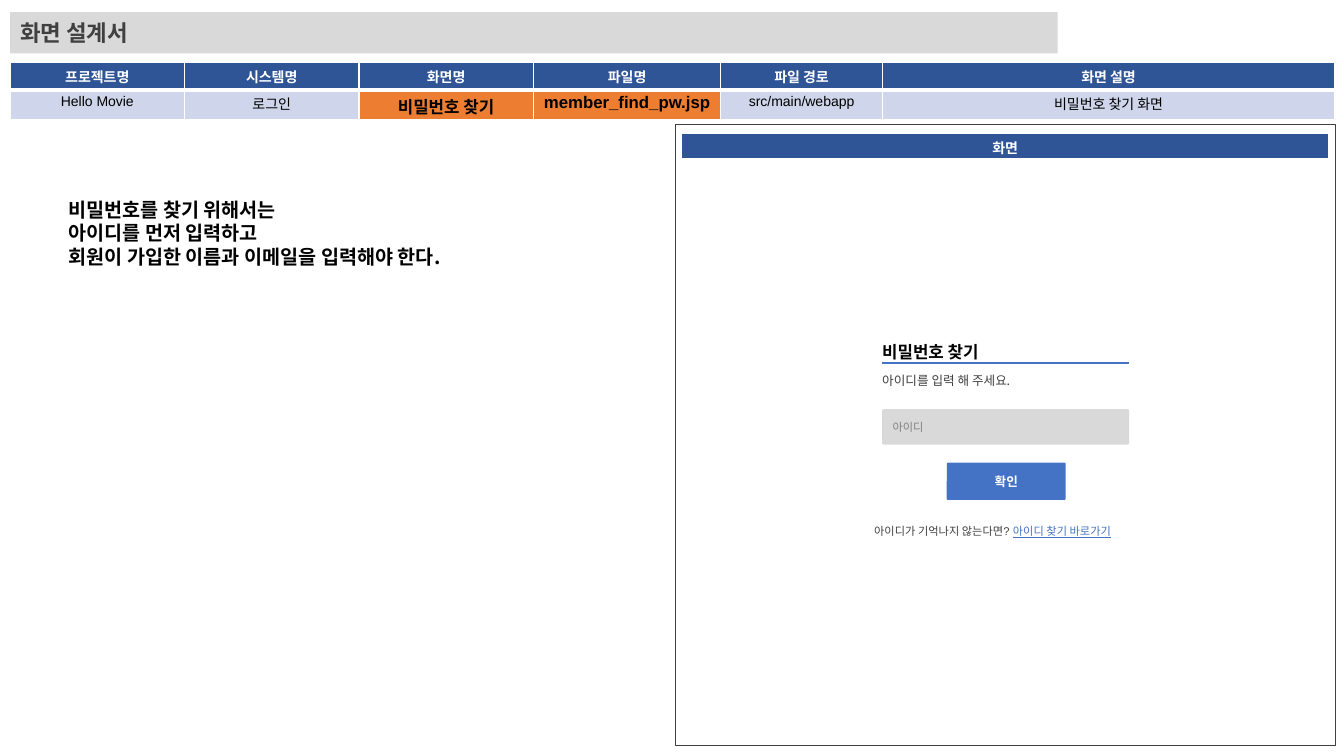
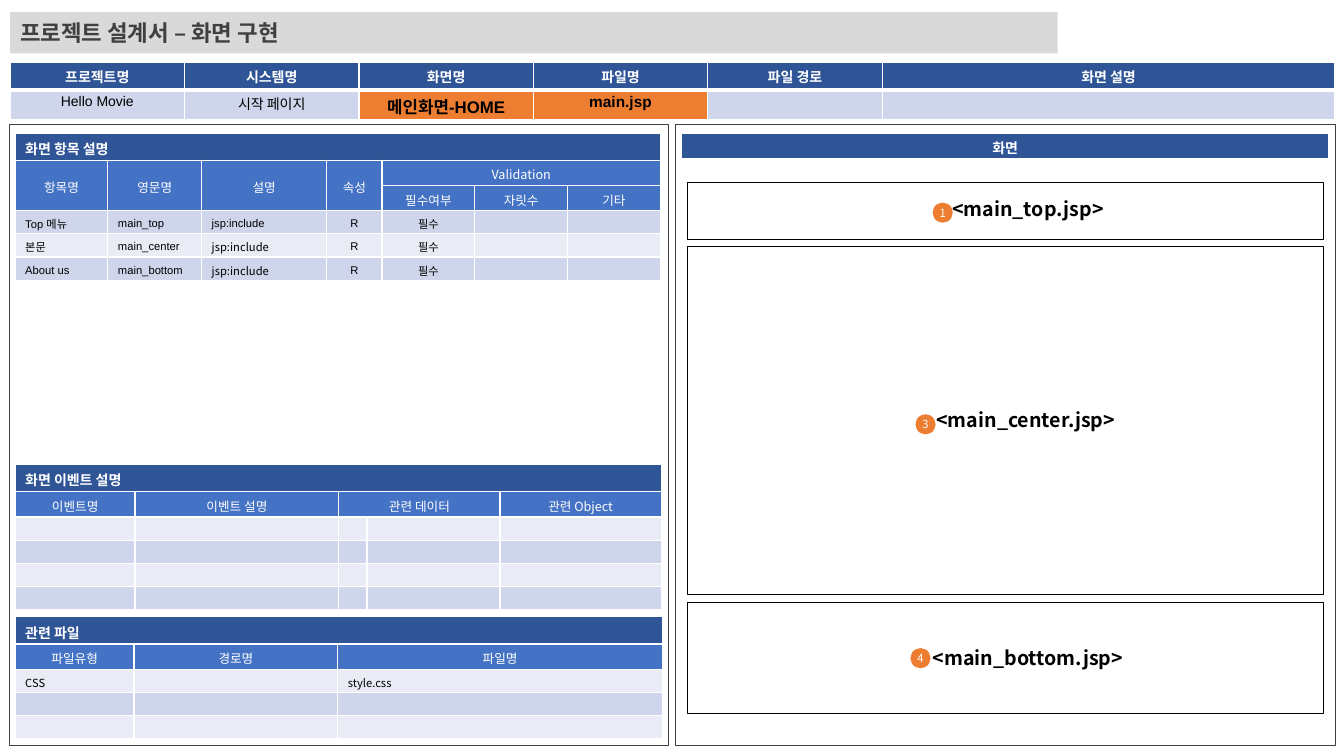
from copy import deepcopy

from lxml import etree
from pptx import Presentation
from pptx import util as u
from pptx.dml import color
from pptx.enum import shapes, text
from pptx.oxml import ns

rgb = color.RGBColor.from_string
NOTO, ARIAL = "Noto Sans CJK KR", "Arial"
WHITE, BLACK, DARK, MID, GRAY = "FFFFFF", "000000", "404040", "808080", "D9D9D9"
NAVY, BLUE, ORANGE = "2F5597", "4472C4", "ED7D31"
LEFT, CENTER = text.PP_ALIGN.LEFT, text.PP_ALIGN.CENTER
TOP, MIDDLE = text.MSO_ANCHOR.TOP, text.MSO_ANCHOR.MIDDLE
RECT, ROUND = shapes.MSO_SHAPE.RECTANGLE, shapes.MSO_SHAPE.ROUNDED_RECTANGLE

# Table row styles: size, ink, fill, bold, alignment, anchor, height, bottom border
ROW_STYLES = {
    "banner": (10, WHITE, NAVY, True, CENTER, TOP, 0.27, 3),
    "info": (10, BLACK, "CFD5EA", False, CENTER, TOP, 0.3, 1),
    "heading": (10, WHITE, NAVY, True, LEFT, MIDDLE, 0.27, 1),
    "label": (9, WHITE, BLUE, False, CENTER, MIDDLE, 0.25, 1),
    "dark": (8, BLACK, "CFD5EA", False, LEFT, MIDDLE, 0.23, 1),
    "light": (8, BLACK, "E9EBF5", False, LEFT, MIDDLE, 0.23, 1),
}


def write(frame, words, size, ink, bold=False, align=LEFT, font=NOTO):
    frame.text = words
    for para in frame.paragraphs:
        para.alignment = align
        for span in para.runs:
            span.font.size = u.Pt(size)
            span.font.bold = bold
            span.font.color.rgb = rgb(ink)
            span.font.name = font
            etree.SubElement(span.font._element, ns.qn("a:ea"), typeface=NOTO)
        if not para.runs:
            etree.SubElement(para._p, ns.qn("a:endParaRPr"), sz=str(size * 100))


def add_grid(page, left, top, widths, rows, merges=(), font=NOTO):
    """Each row is a style name followed by its cell texts; missing cells are empty."""
    heights = [ROW_STYLES[row[0]][6] for row in rows]
    grid = page.shapes.add_table(
        len(rows), len(widths), u.Inches(left), u.Inches(top),
        u.Inches(sum(widths)), u.Inches(sum(heights))).table
    for column, width in zip(grid.columns, widths):
        column.width = u.Inches(width)
    for r, (style, *words) in enumerate(rows):
        size, ink, fill, bold, align, anchor, height, bottom = ROW_STYLES[style]
        grid.rows[r].height = u.Inches(height)
        for c in range(len(widths)):
            cell = grid.cell(r, c)
            cell.vertical_anchor = anchor
            cell.margin_top, cell.margin_bottom = u.Inches(0.04), u.Inches(0.01)
            for edge, weight in (("L", 1), ("R", 1), ("T", 1), ("B", bottom)):
                border = etree.SubElement(cell._tc.get_or_add_tcPr(), ns.qn("a:ln" + edge),
                                          w=str(u.Pt(weight)))
                paint = etree.SubElement(border, ns.qn("a:solidFill"))
                etree.SubElement(paint, ns.qn("a:srgbClr"), val=WHITE)
            cell.fill.solid()
            cell.fill.fore_color.rgb = rgb(fill)
            write(cell.text_frame, words[c] if c < len(words) else "",
                  size, ink, bold, align, font)
    for first, last in merges:
        grid.cell(*first).merge(grid.cell(*last))
    return grid


deck = Presentation()
deck.slide_width, deck.slide_height = u.Inches(13.33), u.Inches(7.5)

# Shared parts: title band, screen information, screen heading
pages = []
for title, file_width, path_width, info, file_size in (
    ("화면 설계서", 1.86, 1.6,
     ["Hello Movie", "로그인", "비밀번호 찾기", "member_find_pw.jsp",
      "src/main/webapp", "비밀번호 찾기 화면"], 12),
    ("프로젝트 설계서 – 화면 구현", 1.73, 1.73,
     ["Hello Movie", "시작 페이지", "메인화면-HOME", "main.jsp"], 11),
):
    page = deck.slides.add_slide(deck.slide_layouts[5])
    pages.append(page)
    band = page.shapes.title
    band.left, band.top = u.Inches(0.1), u.Inches(0.12)
    band.width, band.height = u.Inches(10.39), u.Inches(0.41)
    band.fill.solid()
    band.fill.fore_color.rgb = rgb(GRAY)
    write(band.text_frame, title, 16, DARK, True)
    band.text_frame.auto_size = text.MSO_AUTO_SIZE.NONE
    band.text_frame.vertical_anchor = MIDDLE

    names = ["프로젝트명", "시스템명", "화면명", "파일명", "파일 경로", "화면 설명"]
    grid = add_grid(page, 0.1, 0.62, [1.73, 1.73, 1.73, file_width, path_width, 4.49],
                    [["banner", *names], ["info", *info]], font=ARIAL)
    for c, size in ((2, 12), (3, file_size)):
        cell = grid.cell(1, c)
        cell.fill.fore_color.rgb = rgb(ORANGE)
        write(cell.text_frame, info[c], size, BLACK, True, CENTER, ARIAL)
    add_grid(page, 6.76, 1.32, [6.42], [["banner", "화면"]])

login, main = pages

# Panels, screen areas, input field, button and number badges
blocks = [
    (page, RECT, (left, 1.23, 6.54, 6.17), None, (DARK, 0.5), None)
    for page, left in ((login, 6.7), (main, 0.09), (main, 6.7))
]
blocks += [
    (main, RECT, (6.82, top, 6.3, height), WHITE, (BLACK, 0.25), None)
    for top, height in ((1.81, 0.56), (2.44, 3.45), (5.97, 1.11))
]
blocks += [
    (login, ROUND, (8.75, 4.06, 2.45, 0.35), GRAY, None, ("아이디", 8, MID)),
    (login, ROUND, (9.39, 4.59, 1.18, 0.37), BLUE, None,
     ("확인", 9, WHITE, True, CENTER, ARIAL)),
]
blocks += [
    (main, ROUND, (left, top, 0.2, 0.2), ORANGE, None, (number, 8, WHITE, False, CENTER))
    for left, top, number in ((9.25, 2.01, "1"), (9.08, 4.11, "3"), (9.03, 6.43, "4"))
]
for page, kind, place, fill, line, words in blocks:
    box = page.shapes.add_shape(kind, *map(u.Inches, place))
    box.shadow.inherit = False
    if fill:
        box.fill.solid()
        box.fill.fore_color.rgb = rgb(fill)
    else:
        box.fill.background()
    if line:
        box.line.color.rgb, box.line.width = rgb(line[0]), u.Pt(line[1])
    else:
        box.line.fill.background()
    if kind == ROUND:
        box.adjustments[0] = 0.5 if fill == ORANGE else 0.04
    if words:
        frame = box.text_frame
        write(frame, *words)
        frame.vertical_anchor = MIDDLE
        if fill == ORANGE:
            frame.word_wrap = False
            frame.margin_left = frame.margin_right = 0
            frame.margin_top = frame.margin_bottom = 0

# Form labels on the login page
for top, width, height, words, size, ink in (
    (3.39, 1.07, 0.2, "비밀번호 찾기", 12, BLACK),
    (3.7, 1.42, 0.15, "아이디를 입력 해 주세요.", 9, DARK),
    (5.2, 2.61, 0.13, "아이디가 기억나지 않는다면? ", 8, DARK),
):
    left = 8.67 if size == 8 else 8.75
    box = login.shapes.add_textbox(*map(u.Inches, (left, top, width, height)))
    frame = box.text_frame
    frame.margin_left = frame.margin_right = frame.margin_top = frame.margin_bottom = 0
    frame.word_wrap = False
    frame.auto_size = text.MSO_AUTO_SIZE.SHAPE_TO_FIT_TEXT
    write(frame, words, size, ink, size == 12, font=ARIAL if size == 8 else NOTO)

# The last label ends in an underlined jump text
para = frame.paragraphs[0]
para._p.append(deepcopy(para.runs[0]._r))
span = para.runs[1]
span.text = "아이디 찾기 바로가기"
span.font.color.rgb = rgb(BLUE)
span.font.underline = True

rule = login.shapes.add_connector(
    shapes.MSO_CONNECTOR.STRAIGHT, *map(u.Inches, (8.75, 3.6, 11.2, 3.6)))
rule.line.color.rgb, rule.line.width = rgb(BLUE), u.Pt(1)
etree.SubElement(rule._element.spPr, ns.qn("a:effectLst"))

# Explanation and screen area names
for page, place, words, align in (
    (login, (0.58, 1.91, 5.17, 0.79),
     "비밀번호를 찾기 위해서는\n아이디를 먼저 입력하고\n"
     "회원이 가입한 이름과 이메일을 입력해야 한다.", LEFT),
    (main, (9.15, 1.9, 2.09, 0.34), "<main_top.jsp>", CENTER),
    (main, (9.11, 4, 2.13, 0.34), "<main_center.jsp>", CENTER),
    (main, (9.15, 6.36, 2.09, 0.34), "<main_bottom.jsp>", CENTER),
):
    box = page.shapes.add_textbox(*map(u.Inches, place))
    box.text_frame.word_wrap = True
    write(box.text_frame, words, 14, BLACK, True, align)

# Screen items
items = add_grid(
    main, 0.15, 1.32, [0.92, 0.93, 1.24, 0.55, 0.92, 0.92, 0.92],
    [["heading", "화면 항목 설명"],
     ["label", "항목명", "영문명", "설명", "속성", "Validation"],
     ["label", "", "", "", "", "필수여부", "자릿수", "기타"],
     ["dark", "Top 메뉴", "main_top", "jsp:include", "R", "필수"],
     ["light", "본문", "main_center", "jsp:include", "R", "필수"],
     ["dark", "About us", "main_bottom", "jsp:include", "R", "필수"]],
    [((0, 0), (0, 6)), ((1, 4), (1, 6))] + [((1, c), (2, c)) for c in range(4)])
for r in range(3, 6):
    for c in range(5):
        if c != 2 or r == 3:
            frame = items.cell(r, c).text_frame
            write(frame, frame.text, 8, BLACK, False, CENTER if c > 2 else LEFT, ARIAL)

# Screen events
add_grid(
    main, 0.15, 4.61, [1.19, 2.02, 0.28, 1.32, 1.6],
    [["heading", "화면 이벤트 설명"],
     ["label", "이벤트명", "이벤트 설명", "관련 데이터", "", "관련 Object"],
     ["light"], ["dark"], ["light"], ["dark"]],
    [((0, 0), (0, 4)), ((1, 2), (1, 3))])

# Related files
add_grid(
    main, 0.15, 6.12, [1.18, 2.02, 3.22],
    [["heading", "관련 파일"],
     ["label", "파일유형", "경로명", "파일명"],
     ["light", "CSS", "", "style.css"], ["dark"], ["light"]],
    [((0, 0), (0, 2))])

deck.save("out.pptx")
